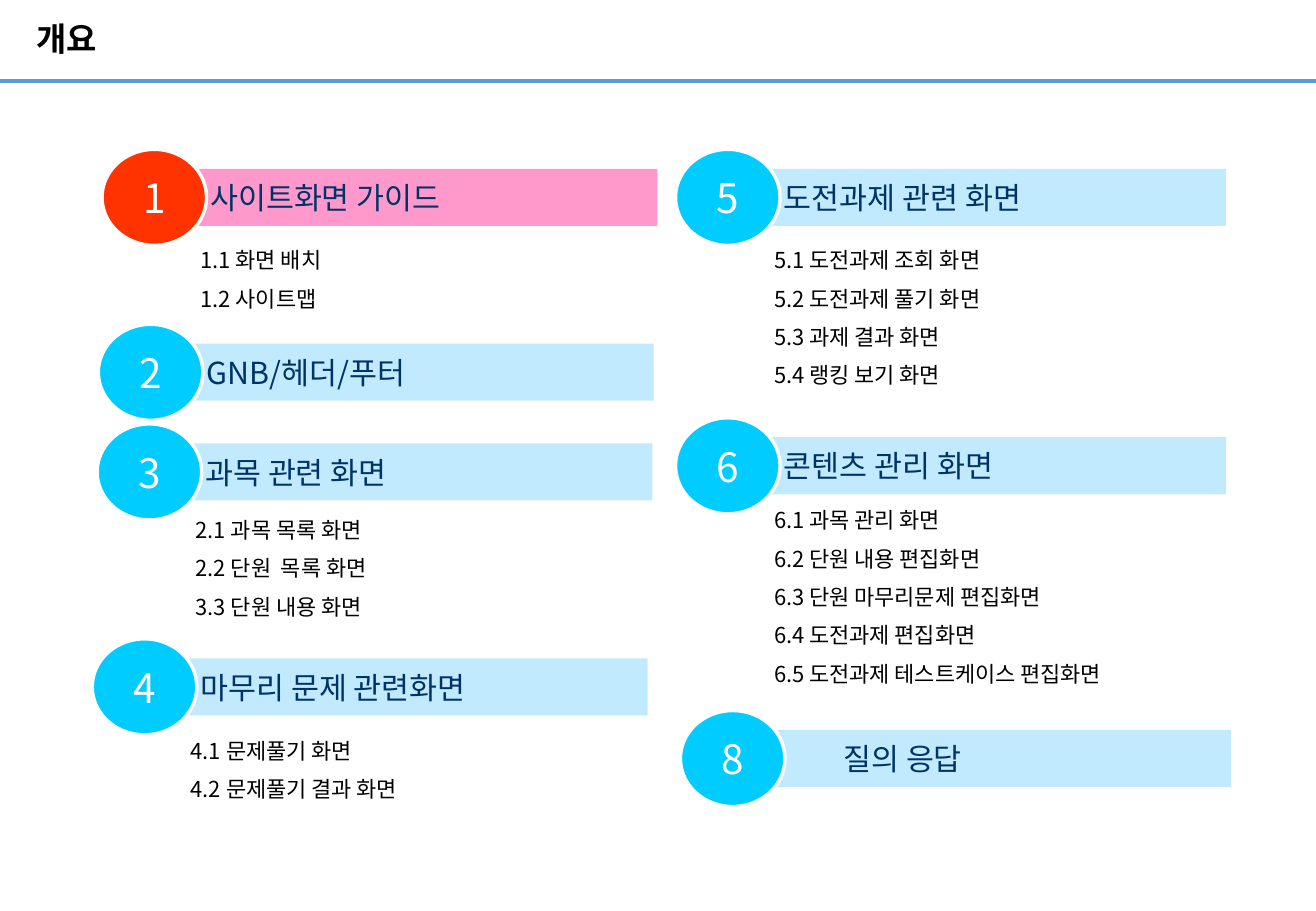
from dataclasses import dataclass

from lxml.etree import SubElement
from pptx import Presentation
from pptx.dml.color import RGBColor
from pptx.enum.shapes import MSO_CONNECTOR, MSO_SHAPE
from pptx.enum.text import MSO_ANCHOR, MSO_AUTO_SIZE, PP_ALIGN
from pptx.oxml.ns import qn
from pptx.util import Inches, Pt


@dataclass(frozen=True)
class Theme:
    title_font: str = "Arial"
    body_font: str = "Noto Sans CJK KR"
    black: str = "000000"
    white: str = "FFFFFF"
    heading: str = "003366"
    rule: str = "5B9BD5"
    bar: str = "C1EAFF"
    circle: str = "00CCFF"
    active_bar: str = "FF99CC"
    active_circle: str = "FF3300"
    title_size: float = 19.5
    number_size: float = 24
    heading_size: float = 18
    item_size: float = 13


THEME = Theme()
TITLE_TEXT = "개요"
ACTIVE_NUMBER = "1"
LEFT_BAR_WIDTH, RIGHT_BAR_WIDTH = 4.23, 4.19
BAR_HEIGHT = 0.47
HEADING_INSET = 0.55
LIST_INDENT = 0.45


@dataclass(frozen=True)
class Section:
    number: str
    heading: str
    left: float
    top: float
    bar_width: float
    items: tuple = ()
    list_offset: float = 0
    heading_indent: float = 0


SECTIONS = [
    Section("1", "사이트화면 가이드", 1.18, 1.39, LEFT_BAR_WIDTH,
            ("1.1 화면 배치", "1.2 사이트맵"), 0.55),
    Section("2", "GNB/헤더/푸터", 1.15, 2.83, LEFT_BAR_WIDTH),
    Section("3", "과목 관련 화면", 1.14, 3.65, LEFT_BAR_WIDTH,
            ("2.1 과목 목록 화면", "2.2 단원  목록 화면", "3.3 단원 내용 화면"), 0.51),
    Section("4", "마무리 문제 관련화면", 1.1, 5.42, LEFT_BAR_WIDTH,
            ("4.1 문제풀기 화면", "4.2 문제풀기 결과 화면"), 0.56),
    Section("5", "도전과제 관련 화면", 5.9, 1.39, RIGHT_BAR_WIDTH,
            ("5.1 도전과제 조회 화면", "5.2 도전과제 풀기 화면",
             "5.3 과제 결과 화면", "5.4 랭킹 보기 화면"), 0.55),
    Section("6", "콘텐츠 관리 화면", 5.9, 3.6, RIGHT_BAR_WIDTH,
            ("6.1 과목 관리 화면", "6.2 단원 내용 편집화면",
             "6.3 단원 마무리문제 편집화면", "6.4 도전과제 편집화면",
             "6.5 도전과제 테스트케이스 편집화면"), 0.48),
    Section("8", "질의 응답", 5.94, 6.01, RIGHT_BAR_WIDTH, heading_indent=0.45),
]


def apply_format(target, values):
    for name, value in values.items():
        setattr(target, name, value)


def set_frame(frame, insets, anchor):
    left, top, right, bottom = map(Inches, insets)
    apply_format(frame, {
        "margin_left": left, "margin_top": top,
        "margin_right": right, "margin_bottom": bottom,
        "vertical_anchor": anchor, "word_wrap": True,
        "auto_size": MSO_AUTO_SIZE.NONE,
    })


def write_paragraph(paragraph, text, size, color, font=THEME.body_font,
                    bold=False, **paragraph_format):
    apply_format(paragraph, paragraph_format)
    run = paragraph.add_run()
    run.text = text
    apply_format(run.font, {"name": font, "size": Pt(size), "bold": bold})
    run.font.color.rgb = RGBColor.from_string(color)
    # Korean glyphs take their own typeface entry
    east_asian = SubElement(run.font._element, qn("a:ea"))
    east_asian.set("typeface", THEME.body_font)


def add_title(slide):
    title = slide.shapes.title
    apply_format(title, {"left": Inches(0.3), "top": Inches(0),
                         "width": Inches(7.09), "height": Inches(0.68)})
    set_frame(title.text_frame, (0, 0, 0, 0), MSO_ANCHOR.MIDDLE)
    write_paragraph(title.text_frame.paragraphs[0], TITLE_TEXT,
                    THEME.title_size, THEME.black, THEME.title_font, True,
                    alignment=PP_ALIGN.LEFT, line_spacing=0.9)


def add_rule(slide, width):
    y = Inches(0.67)
    rule = slide.shapes.add_connector(MSO_CONNECTOR.STRAIGHT, 0, y, width, y)
    rule.line.width = Pt(2.25)
    rule.line.color.rgb = RGBColor.from_string(THEME.rule)
    SubElement(rule._element.spPr, qn("a:effectLst"))


def add_filled_shape(slide, kind, box, fill):
    shape = slide.shapes.add_shape(kind, *map(Inches, box))
    shape.shadow.inherit = False
    shape.fill.solid()
    shape.fill.fore_color.rgb = RGBColor.from_string(fill)
    shape.line.fill.background()
    return shape


def add_bar(slide, section):
    active = section.number == ACTIVE_NUMBER
    bar = add_filled_shape(
        slide, MSO_SHAPE.RECTANGLE,
        (section.left, section.top, section.bar_width, BAR_HEIGHT),
        THEME.active_bar if active else THEME.bar)
    inset = HEADING_INSET + section.heading_indent
    set_frame(bar.text_frame, (inset, 0.05, 0.1, 0.05), MSO_ANCHOR.MIDDLE)
    write_paragraph(bar.text_frame.paragraphs[0], section.heading,
                    THEME.heading_size, THEME.heading, alignment=PP_ALIGN.LEFT)


def add_number(slide, section):
    active = section.number == ACTIVE_NUMBER
    circle = add_filled_shape(
        slide, MSO_SHAPE.OVAL,
        (section.left - 0.34, section.top - 0.16, 0.86, 0.79),
        THEME.active_circle if active else THEME.circle)
    circle.line.width = Pt(2)
    circle.line.color.rgb = RGBColor.from_string(THEME.white)
    set_frame(circle.text_frame, (0, 0, 0, 0), MSO_ANCHOR.MIDDLE)
    write_paragraph(circle.text_frame.paragraphs[0], section.number,
                    THEME.number_size, THEME.white, alignment=PP_ALIGN.CENTER)


def add_item_list(slide, section):
    box = (section.left + LIST_INDENT, section.top + section.list_offset,
           3.75, 0.39 * len(section.items) - 0.05)
    frame = slide.shapes.add_textbox(*map(Inches, box)).text_frame
    set_frame(frame, (0.02, 0.05, 0.02, 0.05), MSO_ANCHOR.TOP)
    for index, item in enumerate(section.items):
        paragraph = frame.add_paragraph() if index else frame.paragraphs[0]
        write_paragraph(paragraph, item, THEME.item_size, THEME.black,
                        alignment=PP_ALIGN.JUSTIFY, line_spacing=1.2,
                        space_before=Pt(4))


def main():
    presentation = Presentation()
    apply_format(presentation, {"slide_width": Inches(10.83),
                                "slide_height": Inches(7.5)})
    title_only = presentation.slide_layouts[5]
    slide = presentation.slides.add_slide(title_only)

    # Heading of the page
    add_rule(slide, presentation.slide_width)
    add_title(slide)

    # Numbered sections with their items
    for section in SECTIONS:
        add_bar(slide, section)
        add_number(slide, section)
        if section.items:
            add_item_list(slide, section)

    presentation.save("out.pptx")


if __name__ == "__main__":
    main()
